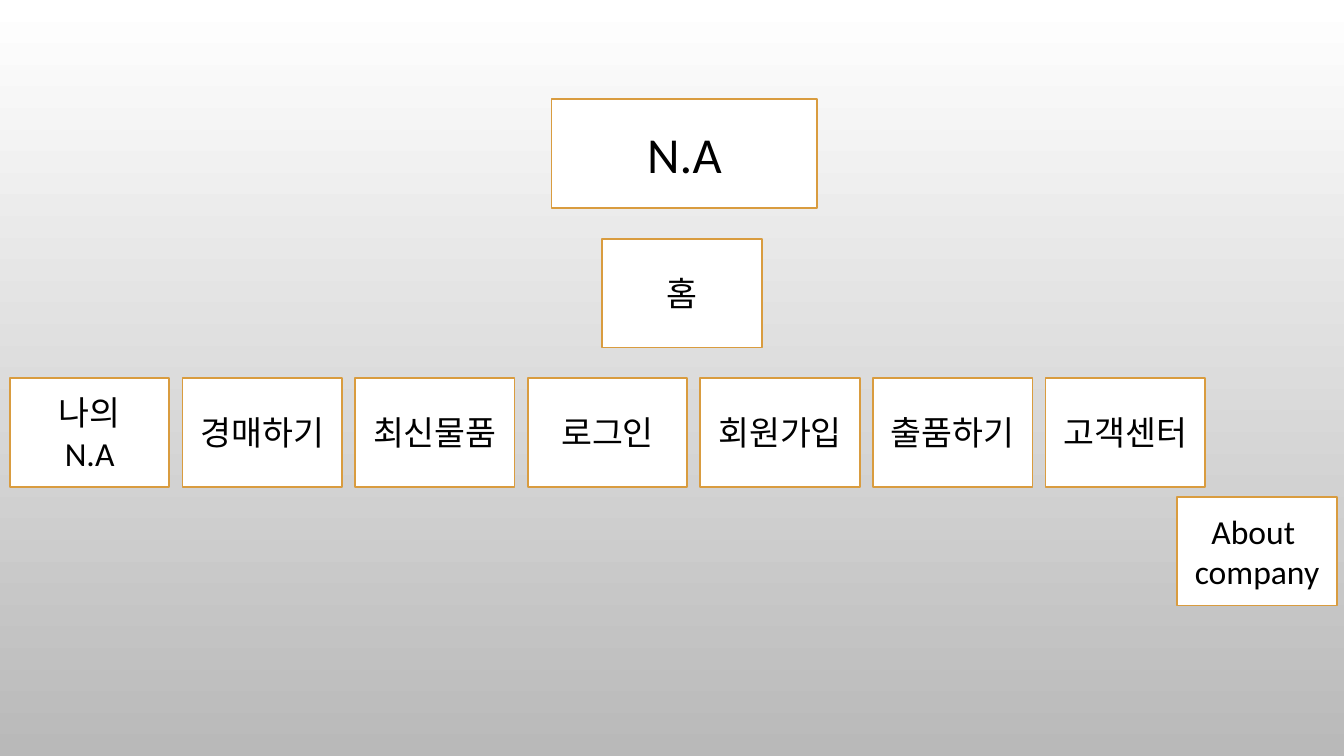
from pptx import Presentation
from pptx.dml.color import RGBColor
from pptx.enum.shapes import MSO_SHAPE
from pptx.enum.text import MSO_ANCHOR, PP_ALIGN
from pptx.util import Cm, Pt

WHITE = RGBColor(0xFF, 0xFF, 0xFF)
GREY = RGBColor(0xB9, 0xB9, 0xB9)
GOLD = RGBColor(0xD9, 0x9C, 0x3F)
BLACK = RGBColor(0x00, 0x00, 0x00)

FONT = "Calibri"
BOX_WIDTH, BOX_HEIGHT = Cm(4.02), Cm(2.74)
MENU_PITCH = Cm(4.35)
MENU = ["나의\nN.A", "경매하기", "최신물품", "로그인", "회원가입", "출품하기", "고객센터"]


def paint_background(slide):
    fill = slide.background.fill
    fill.gradient()
    fill.gradient_angle = 270
    for stop, color in zip(fill.gradient_stops, (WHITE, GREY)):
        stop.color.rgb = color


def add_page_box(slide, text, left, top, width=BOX_WIDTH, size=Pt(24)):
    """Add one page of the site map; each line of text is a paragraph."""
    shape = slide.shapes.add_shape(MSO_SHAPE.RECTANGLE, left, top, width, BOX_HEIGHT)
    shape.shadow.inherit = False
    shape.fill.solid()
    shape.fill.fore_color.rgb = WHITE
    shape.line.color.rgb = GOLD
    shape.line.width = Pt(1.25)
    text_frame = shape.text_frame
    text_frame.text = text
    text_frame.word_wrap = True
    text_frame.vertical_anchor = MSO_ANCHOR.MIDDLE
    for paragraph in text_frame.paragraphs:
        paragraph.alignment = PP_ALIGN.CENTER
        for run in paragraph.runs:
            run.font.name = FONT
            run.font.size = size
            run.font.color.rgb = BLACK


def add_menu_row(slide, left, top):
    for index, label in enumerate(MENU):
        add_page_box(slide, label, left + index * MENU_PITCH, top)


def main():
    presentation = Presentation()
    presentation.slide_width, presentation.slide_height = Cm(33.87), Cm(19.05)
    slide = presentation.slides.add_slide(presentation.slide_layouts[6])
    paint_background(slide)
    add_page_box(slide, "N.A", Cm(13.9), Cm(2.5), width=Cm(6.7), size=Pt(36))
    add_page_box(slide, "홈", Cm(15.18), Cm(6.02))
    add_menu_row(slide, Cm(0.25), Cm(9.53))
    add_page_box(slide, "About \ncompany", Cm(29.67), Cm(12.52))
    presentation.save("out.pptx")


if __name__ == "__main__":
    main()
